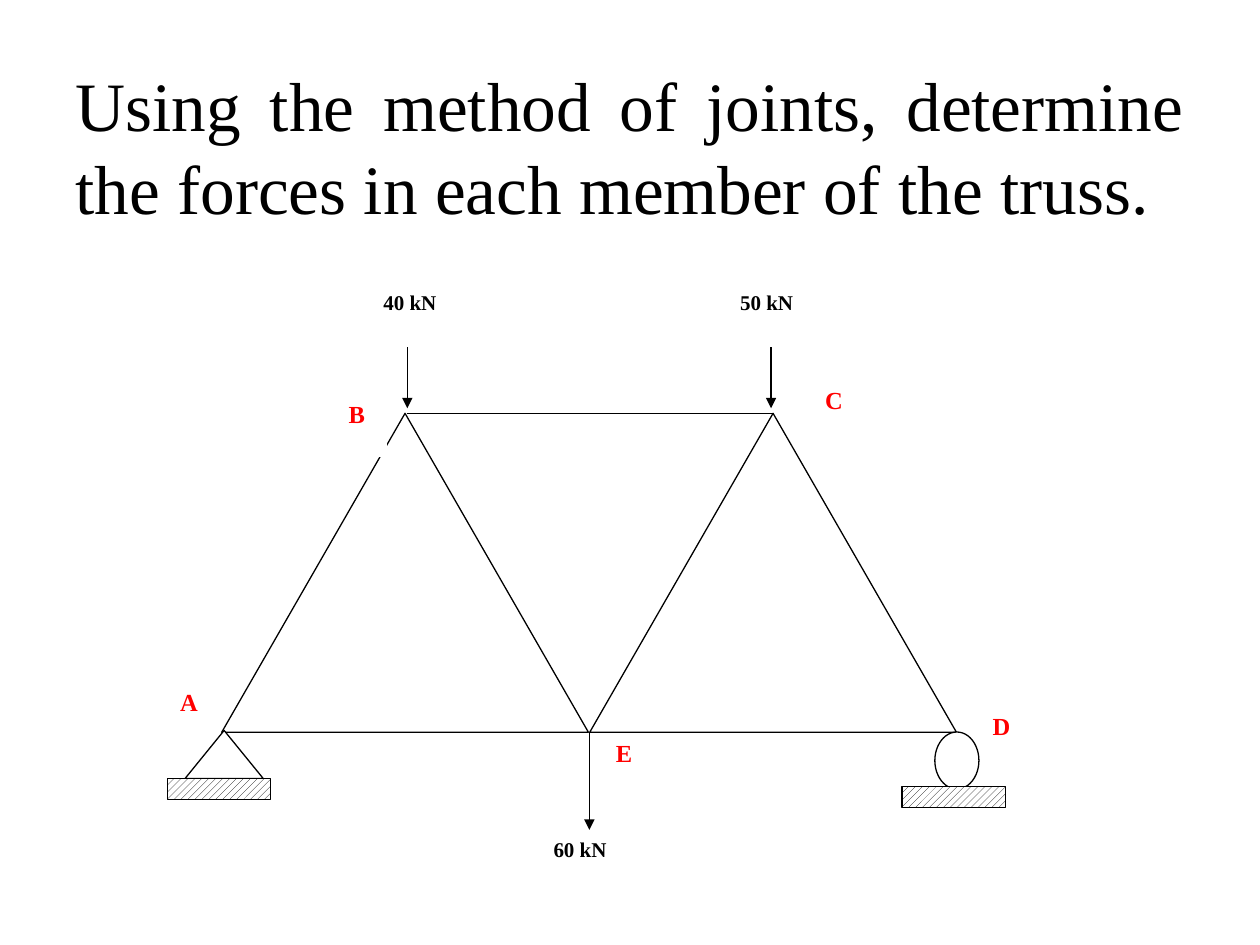
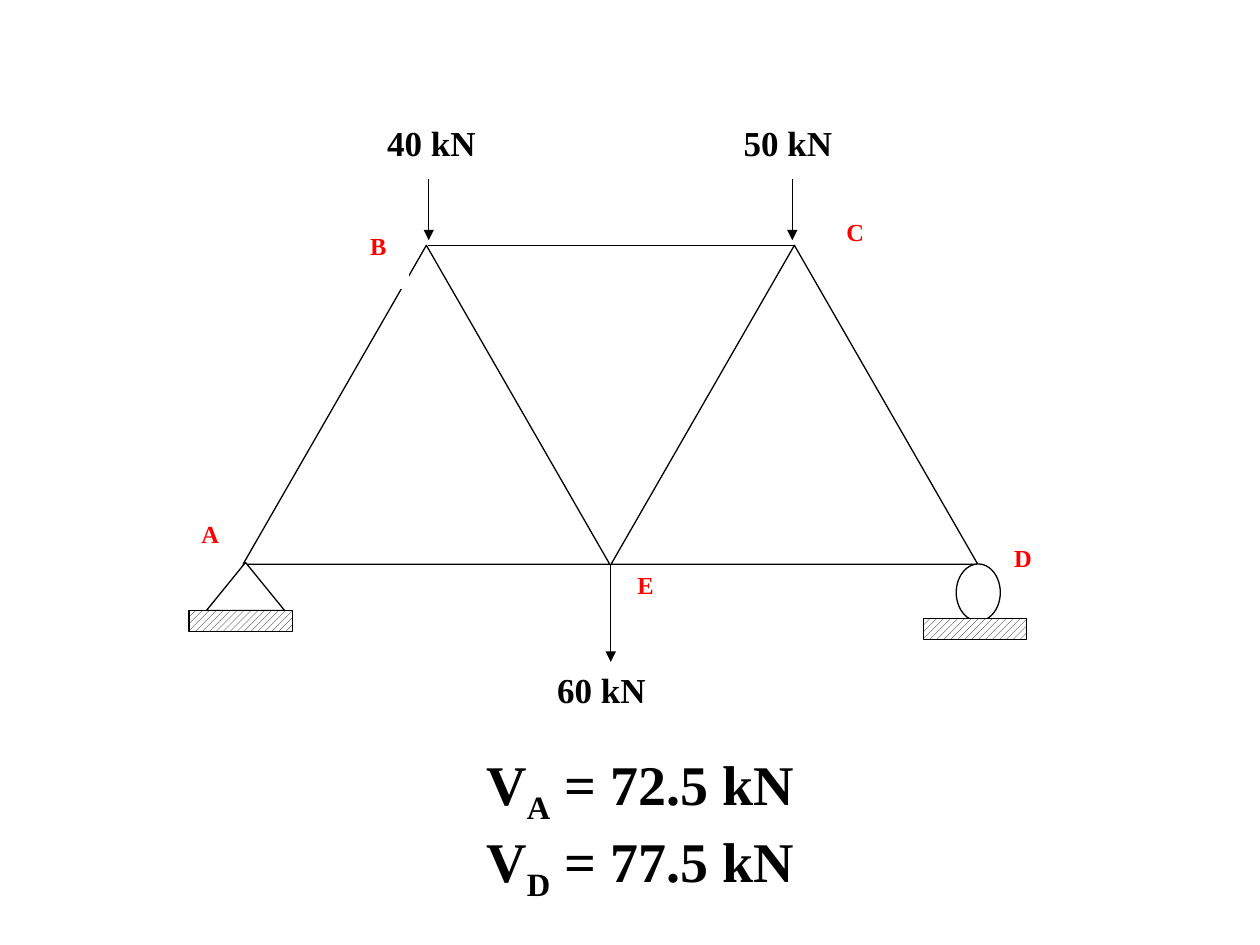
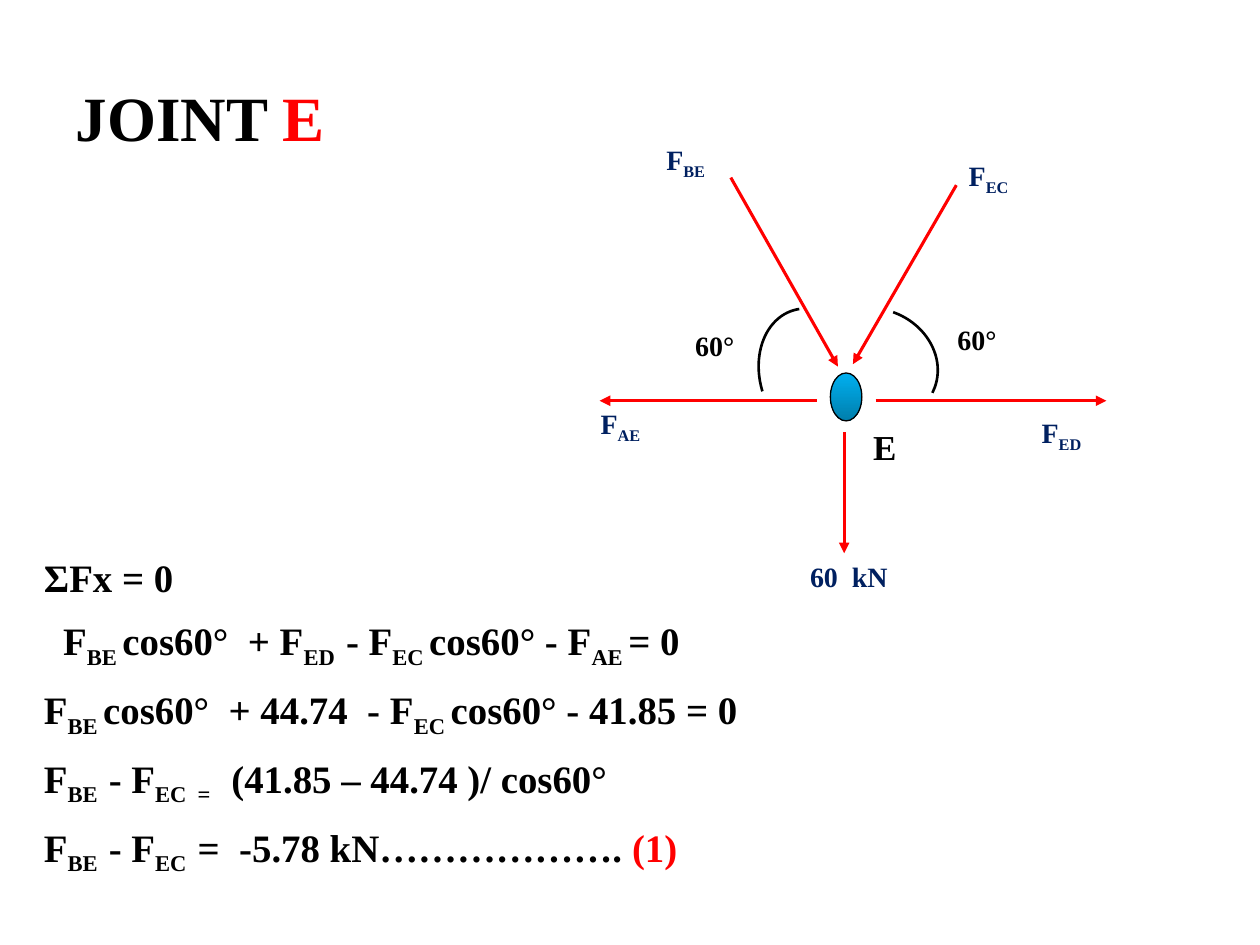
from pptx import Presentation
from pptx.dml.color import RGBColor
from pptx.enum import dml, shapes, text
from pptx.oxml import ns, xmlchemy
from pptx.util import Pt

BLACK = RGBColor(0x00, 0x00, 0x00)
WHITE = RGBColor(0xFF, 0xFF, 0xFF)
RED = RGBColor(0xFF, 0x00, 0x00)
NAVY = RGBColor(0x00, 0x20, 0x60)
SKY = RGBColor(0x00, 0xB0, 0xF0)
TEAL = RGBColor(0x00, 0x7E, 0xAC)
FONT = "Times New Roman"
KIND = shapes.MSO_SHAPE
ALIGN = text.PP_ALIGN


def write(para, line, size, color=BLACK, bold=True):
    """Add runs to a paragraph; parts between underscores are subscripts."""
    for i, part in enumerate(line.split("_")):
        if not part:
            continue
        run = para.add_run()
        run.text = part
        run.font.name = FONT
        run.font.size = Pt(size)
        run.font.bold = bold
        run.font.color.rgb = color
        if i % 2:
            run._r.get_or_add_rPr().set("baseline", "-25000")


def draw(pool, kind, box, edge=BLACK, width=0.75, head=False):
    """Add a shape at left, top, width, height, or a line if kind is None."""
    dims = [Pt(n) for n in box]
    if kind is None:
        item = pool.add_connector(shapes.MSO_CONNECTOR.STRAIGHT, *dims)
    else:
        item = pool.add_shape(kind, *dims)
        item.shadow.inherit = False
        item.fill.solid()
        item.fill.fore_color.rgb = WHITE
    item.line.color.rgb = edge
    item.line.width = Pt(width)
    if kind is None:
        props = item._element.spPr
        if head:
            tip = xmlchemy.OxmlElement("a:tailEnd")
            tip.set("type", "triangle")
            props.find(ns.qn("a:ln")).append(tip)
        props.append(xmlchemy.OxmlElement("a:effectLst"))
    return item


prs = Presentation()
prs.slide_width, prs.slide_height = Pt(720), Pt(540)

# Slides and their titles
pages, heads = [], []
for box, anchor, align in [
    ((36, 21.6, 648, 122.4), text.MSO_ANCHOR.MIDDLE, ALIGN.JUSTIFY),
    ((41.8, 450, 648, 90), text.MSO_ANCHOR.BOTTOM, ALIGN.CENTER),
    ((36, 21.6, 648, 90), text.MSO_ANCHOR.MIDDLE, ALIGN.LEFT),
]:
    page = prs.slides.add_slide(prs.slide_layouts[5])
    title = page.shapes.title
    title.left, title.top, title.width, title.height = [Pt(n) for n in box]
    frame = title.text_frame
    frame.auto_size = text.MSO_AUTO_SIZE.NONE
    frame.vertical_anchor = anchor
    frame.paragraphs[0].alignment = align
    pages.append(page)
    heads.append(frame)

write(heads[0].paragraphs[0],
      "Using the method of joints, determine the forces in each member of the truss.",
      39.6, bold=False)

heads[1].margin_bottom = Pt(24)
para = heads[1].paragraphs[0]
write(para, "V_A_ = 72.5 kN", 32)
para.add_line_break()
write(para, "V_D_ = 77.5 kN", 32)

para = heads[2].paragraphs[0]
write(para, "JOINT ", 36)
write(para, "E", 36, RED)

# Truss: the same drawing on two slides, shifted
LOW = [("D", 560.2, 402.5, 40.3, 42.5), ("E", 344.9, 418.3, 34.6, 38.2),
       ("A", 95.8, 388.8, 28.8, 29.5)]
HIGH = [("40 kN", 192.2, 162, 84.2, 36), ("50 kN", 396, 162, 84.2, 36),
        ("60 kN", 289.4, 474.5, 84.2, 36),
        ("B", 192.2, 224.6, 28.8, 36), ("C", 464.4, 216.7, 28.8, 37.4)]
PARTS = [(KIND.ISOSCELES_TRIANGLE, 126.7, 236.2, 209.5, 182.2),
         (KIND.ISOSCELES_TRIANGLE, 337, 236.2, 209.5, 182.2),
         (KIND.ISOSCELES_TRIANGLE, 105.8, 417.4, 44.6, 27.4),
         (KIND.OVAL, 534.2, 418.3, 25.2, 32.6),
         (KIND.RECTANGLE, 95.8, 444.8, 59, 12.2),
         (KIND.RECTANGLE, 515.5, 449.4, 59, 12.2)]
BARS = [(232.4, 236.2, 441.6, 236.2, False), (232.8, 174.2, 232.8, 233.3, True),
        (440.6, 177.8, 440.6, 233.3, True), (336.8, 418.3, 336.8, 474.2, True)]

for page, dx, dy, size in [(pages[0], 0, 0, 12), (pages[1], 12.2, -96, 20)]:
    pool = page.shapes.add_group_shape().shapes
    for batch in (LOW, HIGH):
        for word, x, y, w, h in batch:
            item = draw(pool, KIND.RECTANGLE, (x + dx, y + dy, w, h), WHITE)
            item.text_frame.vertical_anchor = text.MSO_ANCHOR.TOP
            para = item.text_frame.paragraphs[0]
            para.space_after = Pt(10)
            load = "kN" in word
            para.alignment = ALIGN.CENTER if load else ALIGN.LEFT
            write(para, word, size if load else 14, BLACK if load else RED)
        if batch is HIGH:
            continue
        # Members, supports and loads lie between the two sets of labels
        for kind, x, y, w, h in PARTS:
            item = draw(pool, kind, (x + dx, y + dy, w, h))
            if kind == KIND.RECTANGLE:
                item.fill.patterned()
                item.fill.pattern = dml.MSO_PATTERN.WIDE_UPWARD_DIAGONAL
                item.fill.fore_color.rgb = BLACK
                item.fill.back_color.rgb = WHITE
        for x1, y1, x2, y2, head in BARS:
            draw(pool, None, (x1 + dx, y1 + dy, x2 + dx, y2 + dy), head=head)

# Joint E: equations
pool = pages[2].shapes
frame = pool.add_textbox(Pt(18), Pt(311.8), Pt(450), Pt(185.8)).text_frame
frame.word_wrap = True
frame.vertical_anchor = text.MSO_ANCHOR.MIDDLE
for i, line in enumerate([
    "ΣFx = 0",
    "F_BE _cos60°  + F_ED  _- F_EC _cos60° - F_AE _= 0",
    "F_BE _cos60°  + 44.74  - F_EC _cos60° - 41.85 = 0",
    "F_BE  _- F_EC  =  _ (41.85 – 44.74 )/ cos60°",
    "F_BE  _- F_EC  _=  -5.78 kN………………. ",
]):
    para = frame.paragraphs[0] if i == 0 else frame.add_paragraph()
    para.line_spacing = 1.3
    if i == 1:
        para._p.get_or_add_pPr().set("marL", str(Pt(11)))
    write(para, line, 22.2)
write(para, "(1)", 22.2, RED)

# Joint E: labels
for word, x, y, w, h, size, color in [
    ("E", 491.8, 239.8, 77, 37.4, 20, BLACK),
    ("F_AE_", 336.2, 229, 119.5, 35.3, 16, NAVY),
    ("60°", 390.2, 184.3, 54.7, 29.5, 16, BLACK),
    ("60  kN", 455.8, 316.1, 119.5, 37.4, 16, NAVY),
    ("F_BE_", 373.7, 77.8, 119.5, 37.4, 16, NAVY),
    ("60°", 540, 180.7, 54.7, 29.5, 16, BLACK),
    ("F_EC_", 546.5, 87.1, 119.5, 37.4, 16, NAVY),
    ("F_ED_", 588.2, 234, 93.6, 28.1, 16, NAVY),
]:
    item = draw(pool, KIND.RECTANGLE, (x, y, w, h), WHITE)
    item.text_frame.vertical_anchor = text.MSO_ANCHOR.TOP
    para = item.text_frame.paragraphs[0]
    para.alignment = ALIGN.LEFT
    write(para, word, size, color)

# Joint E: pin, forces and angles
pin = draw(pool, KIND.OVAL, (474.5, 213.1, 18, 27.4))
pin.fill.gradient()
pin.fill.gradient_angle = 270
for stop, color in zip(pin.fill.gradient_stops, (SKY, TEAL)):
    stop.color.rgb = color

for *ends, width in [
    (482.4, 247, 482.4, 316.1, 1.75),
    (466.6, 229, 342.7, 229, 2),
    (417.6, 101.5, 478.8, 209.5, 1.75),
    (546.5, 105.8, 487.4, 208.1, 1.75),
    (500.4, 229, 632.2, 229, 2),
]:
    draw(pool, None, ends, RED, width, True)

for x, y, rx, ry, turn in [(464.4, 214.6, 38.9, 30.1, 253.6),
                           (499.7, 208.8, 36.7, 32.2, 20.4)]:
    arc = draw(pool, KIND.ARC, (x - rx, y - ry, 2 * rx, 2 * ry), width=1.5)
    arc.fill.background()
    arc.rotation = turn
    # Angles in units of 100000/60000 degree
    arc.adjustments[0], arc.adjustments[1] = 269 * 0.6, 5 * 0.6

prs.save("out.pptx")
